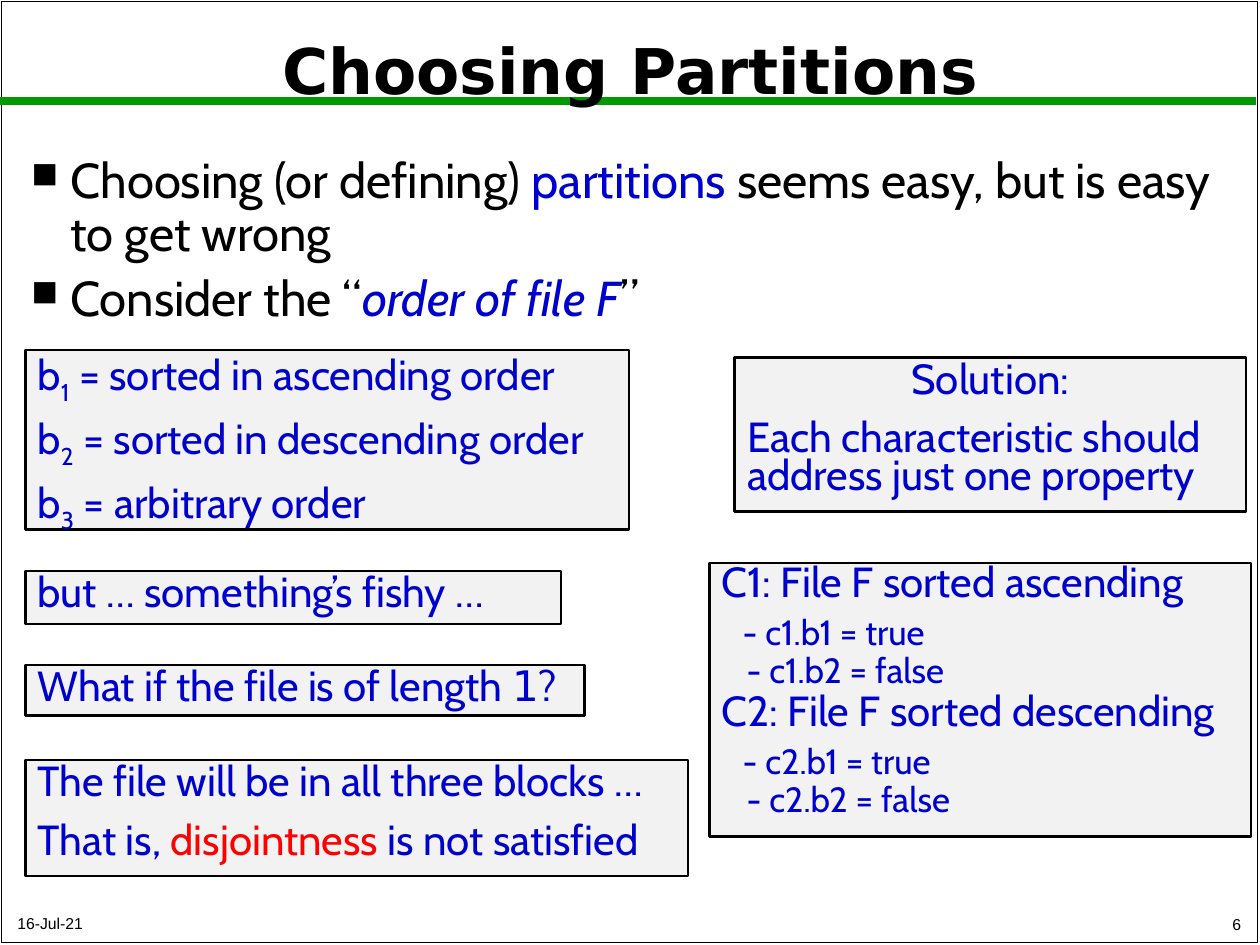
"""Build the slide on choosing partitions."""
from lxml import etree
from pptx import Presentation
from pptx import util as u
from pptx.dml import color
from pptx.enum import shapes, text
from pptx.oxml import ns

BLACK, BLUE, RED, GREEN, GREY = "000000", "0000CC", "FF0000", "009900", "F2F2F2"
LEFT, MID, RIGHT = text.PP_ALIGN.LEFT, text.PP_ALIGN.CENTER, text.PP_ALIGN.RIGHT
TOP, CENTRE, LOW = text.MSO_ANCHOR.TOP, text.MSO_ANCHOR.MIDDLE, text.MSO_ANCHOR.BOTTOM


def ink(fill, tint):
    """Make a fill solid in the given colour."""
    fill.solid()
    fill.fore_color.rgb = color.RGBColor.from_string(tint)


def write(shape, rows, size, tint, face="Cabin", lead=1, anchor=TOP):
    """Write rows of (runs, options) into a shape."""
    frame = shape.text_frame
    frame.word_wrap = True
    frame.auto_size = text.MSO_AUTO_SIZE.NONE
    frame.vertical_anchor = anchor
    for i, (runs, opts) in enumerate(rows):
        par = frame.paragraphs[0] if i == 0 else frame.add_paragraph()
        par.alignment = opts.get("align", LEFT)
        par.line_spacing = lead
        par.space_before = u.Pt(opts.get("gap", 0) if i else 0)
        props = par._p.get_or_add_pPr()
        props.set("marL", str(u.Cm(opts.get("left", 0))))
        props.set("indent", str(u.Cm(opts.get("hang", 0))))
        if "mark" in opts:
            etree.SubElement(props, ns.qn("a:buSzPct")).set("val", "75000")
            etree.SubElement(props, ns.qn("a:buChar")).set("char", opts["mark"])
        for words, look in runs:
            run = par.add_run()
            run.text = words
            run.font.name = look.get("face", face)
            run.font.size = u.Pt(opts.get("size", size))
            run.font.bold = look.get("bold", False)
            run.font.italic = look.get("italic", False)
            ink(run.font.fill, look.get("tint", tint))
            if "base" in look:
                run._r.get_or_add_rPr().set("baseline", look["base"])


deck = Presentation()
deck.slide_width, deck.slide_height = u.Cm(25.4), u.Cm(19.05)
slide = deck.slides.add_slide(deck.slide_layouts[5])
ink(slide.background.fill, "FFFFFF")
items = slide.shapes

edge = items.add_shape(shapes.MSO_SHAPE.RECTANGLE, u.Cm(0.03), u.Cm(0.03), u.Cm(25.32), u.Cm(18.97))
edge.shadow.inherit = False
edge.fill.background()
ink(edge.line.fill, BLACK)
edge.line.width = u.Pt(1)

rule = items.add_connector(shapes.MSO_CONNECTOR.STRAIGHT, u.Cm(0), u.Cm(2.03), u.Cm(25.32), u.Cm(2.03))
ink(rule.line.fill, GREEN)
rule.line.width = u.Pt(4.5)
etree.SubElement(rule._element.spPr, ns.qn("a:effectLst"))

title = items.title
title._element.getparent().append(title._element)
title.left, title.top, title.width, title.height = u.Cm(0.13), u.Cm(0.28), u.Cm(25.15), u.Cm(2.41)
write(title, [([("Choosing Partitions", {"bold": True})], {"align": MID})],
      36, BLACK, "DejaVu Sans", 0.9, CENTRE)

point = {"left": 0.79, "hang": -0.79, "gap": 7, "mark": "■"}
body = items.add_textbox(u.Cm(0.38), u.Cm(3.02), u.Cm(24.64), u.Cm(4.11))
write(body, [
    ([("Choosing (or defining) ", {}), ("partitions ", {"tint": BLUE}),
      ("seems easy, but is easy to get wrong", {})], point),
    ([("Consider the “", {}), ("order of file F", {"tint": BLUE, "italic": True}), ("”", {})], point),
], 28, BLACK, lead=0.9)

wide = {"gap": 12}
orders = ["ascending order", "descending order"]
blocks = [f"sorted in {order}" for order in orders] + ["arbitrary order"]
parts = [([("b", {}), (str(n), {"base": "-25000"}), (f" = {block}", {})], wide)
         for n, block in enumerate(blocks, 1)]
cases = []
for n, way in enumerate(["ascending", "descending"], 1):
    cases += [
        ([(f"C{n}: File F sorted {way}", {})], {"gap": 5}),
        ([(f"- c{n}.b1 = true", {})], {"gap": 10, "left": 0.42, "size": 20}),
        ([(f"- c{n}.b2 = false", {})], {"gap": 5, "left": 0.5, "size": 20}),
    ]

boxes = [
    (0.51, 7.06, 12.17, 3.61, 0.75, parts),
    (0.51, 11.51, 10.8, 1.07, 0.75, [([("but … something’s fishy …", {})], wide)]),
    (0.51, 13.41, 11.28, 1.02, 0.75, [
        ([("What if the file is of length ", {}), ("1", {"face": "DejaVu Sans"}), ("?", {})], wide)]),
    (0.51, 15.32, 13.36, 2.34, 0.75, [
        ([("The file will be in all three blocks …", {})], wide),
        ([("That is, ", {}), ("disjointness ", {"tint": RED}), ("is not satisfied", {})], wide)]),
    (14.81, 7.21, 10.31, 3.1, 0.75, [
        ([("Solution:", {})], {"align": MID}),
        ([("Each characteristic should address just one property", {})], wide)]),
    (14.3, 11.35, 10.92, 5.51, 0.7, cases),
]
for x, y, w, h, lead, rows in boxes:
    box = items.add_shape(shapes.MSO_SHAPE.RECTANGLE, u.Cm(x), u.Cm(y), u.Cm(w), u.Cm(h))
    box.shadow.inherit = False
    ink(box.fill, GREY)
    ink(box.line.fill, BLACK)
    box.line.width = u.Pt(1.5)
    write(box, rows, 24, BLUE, lead=lead)

for x, y, w, h, words, align in [
    (0.1, 18.24, 10.67, 0.69, "16-Jul-21", LEFT),
    (19.99, 18.21, 5.28, 0.74, "6", RIGHT),
]:
    foot = items.add_textbox(u.Cm(x), u.Cm(y), u.Cm(w), u.Cm(h))
    write(foot, [([(words, {})], {"align": align})], 9, BLACK, "Arial", anchor=LOW)

deck.save("out.pptx")
